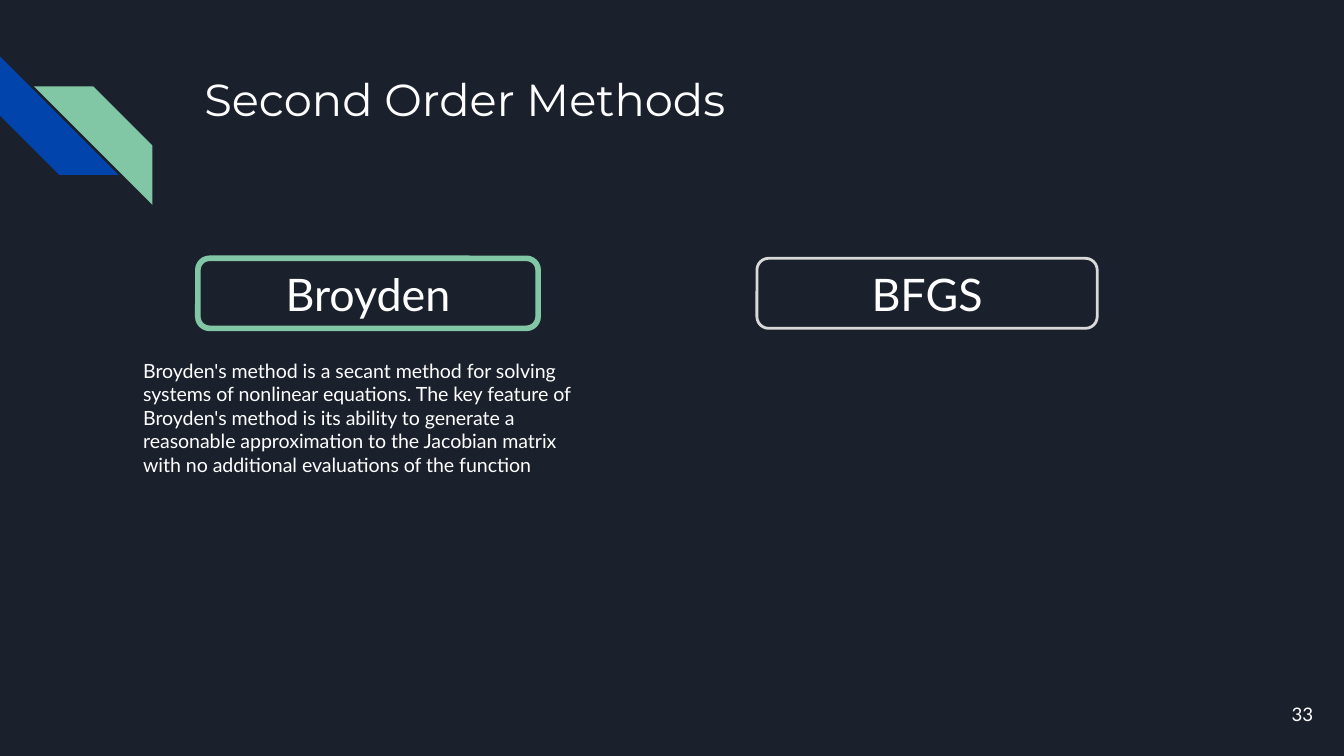
from dataclasses import dataclass

from pptx import Presentation
from pptx.dml.color import RGBColor
from pptx.enum.shapes import MSO_SHAPE
from pptx.enum.text import MSO_ANCHOR, MSO_AUTO_SIZE, PP_ALIGN
from pptx.util import Pt


@dataclass(frozen=True)
class Theme:
    background: str = "1B212C"
    text: str = "FFFFFF"
    blue: str = "0145AC"
    green: str = "82C7A5"
    grey: str = "D9D9D9"
    heading_font: str = "Montserrat"
    body_font: str = "Lato"
    heading_size: float = 24
    body_size: float = 10.5
    number_size: float = 10
    inset: float = 7.2


class SlideBuilder:
    def __init__(self, slide, theme):
        self.s = slide
        self.theme = theme
        fill = slide.background.fill
        fill.solid()
        fill.fore_color.rgb = RGBColor.from_string(theme.background)

    def set_text(self, sp, text, size, font=None, align=PP_ALIGN.LEFT,
                 anchor=MSO_ANCHOR.TOP):
        tf = sp.text_frame
        tf.word_wrap = True
        tf.auto_size = MSO_AUTO_SIZE.NONE
        tf.vertical_anchor = anchor
        tf.margin_left = tf.margin_right = Pt(self.theme.inset)
        tf.margin_top = tf.margin_bottom = Pt(self.theme.inset)
        p = tf.paragraphs[0]
        p.alignment = align
        r = p.add_run()
        r.text = text
        r.font.name = font or self.theme.body_font
        r.font.size = Pt(size)
        r.font.color.rgb = RGBColor.from_string(self.theme.text)

    def title(self, text, x, y, w, h):
        sp = self.s.shapes.title
        sp.left, sp.top, sp.width, sp.height = Pt(x), Pt(y), Pt(w), Pt(h)
        self.set_text(sp, text, self.theme.heading_size,
                      self.theme.heading_font)

    def text(self, text, x, y, w, h, size, **layout):
        sp = self.s.shapes.add_textbox(Pt(x), Pt(y), Pt(w), Pt(h))
        self.set_text(sp, text, size, **layout)

    def stripe(self, x, y, side, rotation, color):
        sp = self.s.shapes.add_shape(
            MSO_SHAPE.DIAGONAL_STRIPE, Pt(x), Pt(y), Pt(side), Pt(side))
        sp.shadow.inherit = False
        sp.rotation = rotation
        sp.fill.solid()
        sp.fill.fore_color.rgb = RGBColor.from_string(color)
        sp.line.fill.background()

    def method_box(self, text, x, y, w, h, color, weight):
        sp = self.s.shapes.add_shape(
            MSO_SHAPE.ROUNDED_RECTANGLE, Pt(x), Pt(y), Pt(w), Pt(h))
        sp.shadow.inherit = False
        sp.fill.background()
        sp.line.color.rgb = RGBColor.from_string(color)
        sp.line.width = Pt(weight)
        self.set_text(sp, text, self.theme.heading_size,
                      align=PP_ALIGN.CENTER, anchor=MSO_ANCHOR.MIDDLE)


def main():
    prs = Presentation()
    prs.slide_width, prs.slide_height = Pt(720), Pt(405)
    theme = Theme()
    slide = SlideBuilder(prs.slides.add_slide(prs.slide_layouts[5]), theme)

    # Corner stripes
    slide.stripe(0, 30.2, 63.5, 270, theme.blue)
    slide.stripe(18.2, 46.3, 63.5, 90, theme.green)

    # Title and slide number
    slide.title("Second Order Methods", 102.3, 31, 554.4, 72)
    slide.text("33", 667.4, 367.2, 43.2, 31, theme.number_size,
               align=PP_ALIGN.RIGHT, anchor=MSO_ANCHOR.MIDDLE)

    # Methods, the current one highlighted
    methods = [("Broyden", 106, theme.green, 3),
               ("BFGS", 405.5, theme.grey, 1.5)]
    for name, x, color, weight in methods:
        slide.method_box(name, x, 138.4, 182.3, 37.5, color, weight)

    # Description of the current method
    slide.text(
        "Broyden's method is a secant method for solving systems of nonlinear "
        "equations. The key feature of Broyden's method is its ability to "
        "generate a reasonable approximation to the Jacobian matrix with no "
        "additional evaluations of the function",
        69.6, 185, 255.6, 78.5, theme.body_size)

    prs.save("out.pptx")


if __name__ == "__main__":
    main()
